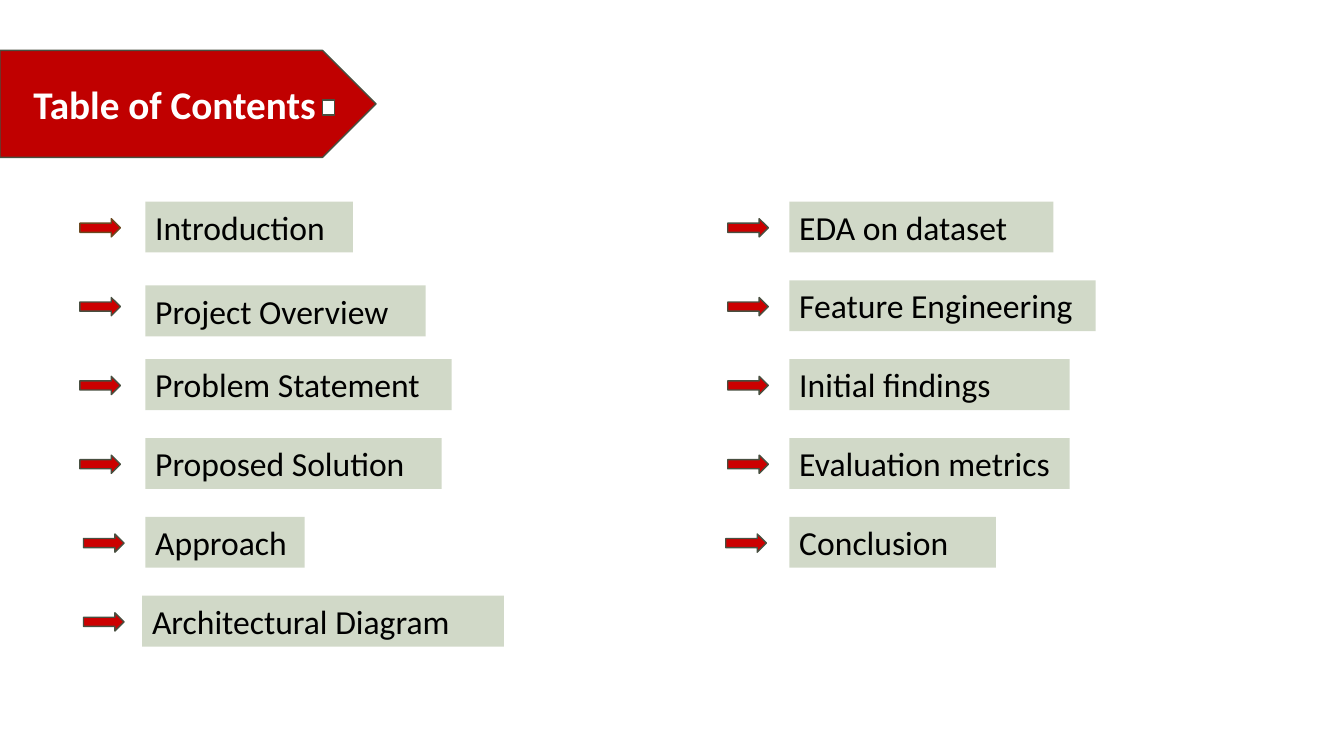
from lxml.etree import SubElement
from pptx import Presentation
from pptx.dml.color import RGBColor
from pptx.enum.shapes import MSO_SHAPE as Shape
from pptx.enum.text import MSO_ANCHOR as Anchor, MSO_AUTO_SIZE as AutoSize, PP_ALIGN as Align
from pptx.oxml.ns import qn
from pptx.util import Pt

COLOURS = {
    "banner": "C00000",
    "arrow": "CC0000",
    "outline": "484F40",
    "first_outline": "6B481F",
    "label": "A5B592",
    "text": "000000",
    "white": "FFFFFF",
}
ROW_TOP, ROW_PITCH = 144, 56.3
ARROW_DROP = 12.2

deck = Presentation()
deck.slide_width, deck.slide_height = Pt(960), Pt(540)
page = deck.slides.add_slide(deck.slide_layouts[6])


def add_outlined(kind, left, top, width, height, fill, outline="outline"):
    shape = page.shapes.add_shape(kind, Pt(left), Pt(top), Pt(width), Pt(height))
    shape.shadow.inherit = False
    shape.fill.solid()
    shape.fill.fore_color.rgb = RGBColor.from_string(COLOURS[fill])
    shape.line.color.rgb = RGBColor.from_string(COLOURS[outline])
    shape.line.width = Pt(1)
    return shape


def write_text(shape, text, size, colour, bold=False):
    para = shape.text_frame.paragraphs[0]
    para.text = text
    para.font.name = "Calibri"
    para.font.size = Pt(size)
    para.font.bold = bold
    para.font.color.rgb = RGBColor.from_string(COLOURS[colour])
    return para


# text, arrow left, label left, label width, label nudge
columns = [
    [
        ("Introduction", 57, 103.8, 148.3, 0),
        ("Project Overview", 57, 103.8, 200.2, 3.6),
        ("Problem Statement", 57, 103.8, 218.9, 0),
        ("Proposed Solution", 57, 103.8, 211.7, 0),
        ("Approach", 59.6, 103.8, 113.8, 0),
        ("Architectural Diagram", 59.6, 101.5, 258.5, 0),
    ],
    [
        ("EDA on dataset", 519.8, 563.8, 188.6, 0),
        ("Feature Engineering", 519.8, 563.8, 218.9, 0),
        ("Initial findings", 519.8, 563.8, 200.2, 0),
        ("Evaluation metrics", 519.8, 563.8, 200.2, 0),
        ("Conclusion", 518.4, 563.8, 147.6, 0),
    ],
]

for column in columns:
    for row, (text, arrow_left, label_left, width, nudge) in enumerate(column):
        top = ROW_TOP + row * ROW_PITCH
        outline = "first_outline" if text == "Introduction" else "outline"
        add_outlined(Shape.RIGHT_ARROW, arrow_left, top + ARROW_DROP, 29, 13, "arrow", outline)

        label = page.shapes.add_textbox(Pt(label_left), Pt(top + nudge), Pt(width), Pt(36.3))
        label.fill.solid()
        label.fill.fore_color.rgb = RGBColor.from_string(COLOURS["label"])
        tint = label.fill._xPr.find(qn("a:solidFill"))[0]
        SubElement(tint, qn("a:alpha"), val="50000")
        label.text_frame.word_wrap = True
        label.text_frame.auto_size = AutoSize.SHAPE_TO_FIT_TEXT
        write_text(label, text, 24, "text")

banner = add_outlined(Shape.PENTAGON, 0, 36, 268.6, 76.4, "banner")
banner.text_frame.vertical_anchor = Anchor.MIDDLE
write_text(banner, "Table of Contents", 28, "white", bold=True).alignment = Align.CENTER
add_outlined(Shape.RECTANGLE, 230.4, 71.3, 8.6, 10.8, "white")

deck.save("out.pptx")
